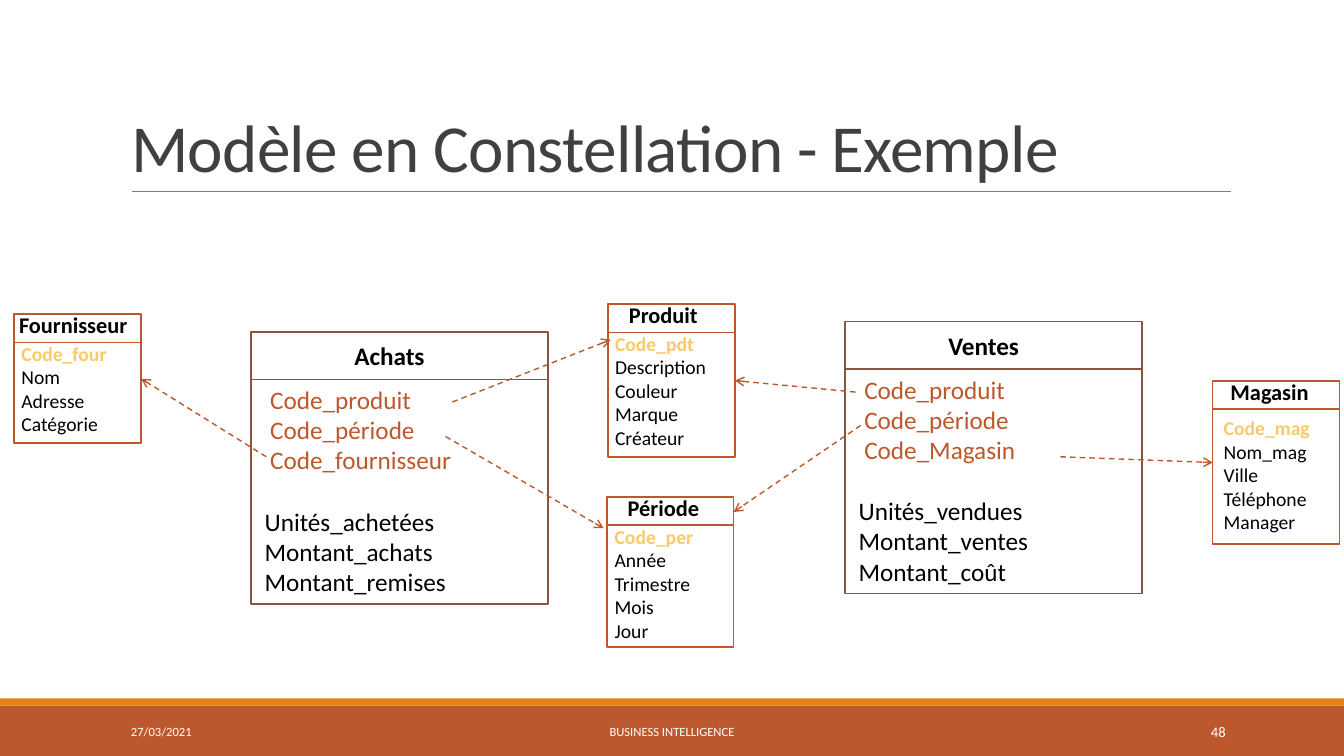
"""Build the slide on the constellation model of a data warehouse."""
from lxml import etree
from pptx import Presentation
from pptx import util as u
from pptx.dml.color import RGBColor
from pptx.enum import dml, shapes, text
from pptx.oxml.ns import qn

RUST, BROWN, GOLD, ORANGE = "BD582C", "865640", "FAC96A", "E48312"
BLACK, WHITE, GREY, DARK = "000000", "FFFFFF", "808080", "404040"
RIGHT, LEFT = 3, 1

DIMENSIONS = [
    dict(name="Fournisseur", at=(0.36, 7.92), height=3.25, name_dx=-0.13, fields_at=(-0.07, 0.56),
         fields=["Code_four", "Nom", "Adresse", "Catégorie"]),
    dict(name="Produit", at=(15.32, 7.67), height=3.84, name_dx=0.28, fields_at=(-0.07, 0.56),
         fields=["Code_pdt", "Description", "Couleur", "Marque", "Créateur"]),
    dict(name="Période", at=(15.29, 12.52), height=3.78, name_dx=0.28, fields_at=(-0.05, 0.58),
         fields=["Code_per", "Année", "Trimestre", "Mois", "Jour"]),
    dict(name="Magasin", at=(30.56, 9.6), height=4.11, name_dx=0.2, fields_at=(0.03, 0.76),
         fields=["Code_mag", "Nom_mag", "Ville", "Téléphone", "Manager"]),
]
FACTS = [
    dict(name="Achats", at=(6.32, 8.36),
         keys=["Code_produit", "Code_période", "Code_fournisseur"],
         measures=["Unités_achetées", "Montant_achats", "Montant_remises"]),
    dict(name="Ventes", at=(21.29, 8.1),
         keys=["Code_produit", "Code_période", "Code_Magasin"],
         measures=["Unités_vendues", "Montant_ventes", "Montant_coût"]),
]
LINKS = [
    ((21.56, 9.88), (18.52, 9.59), "Produit", RIGHT),
    ((21.69, 10.72), (18.49, 12.9), None, None),
    ((26.72, 11.51), (30.56, 11.65), "Magasin", LEFT),
    ((6.71, 11.51), (3.56, 9.54), "Fournisseur", RIGHT),
    ((11.4, 10.13), (15.39, 8.56), None, None),
    ((11.23, 11.0), (15.21, 13.31), None, None),
]
FOOTER = [
    ("27/03/2021", 3.05, 6.86, 9, text.PP_ALIGN.LEFT),
    ("BUSINESS INTELLIGENCE", 10.24, 13.39, 9, text.PP_ALIGN.CENTER),
    ("48", 27.51, 3.63, 10.5, text.PP_ALIGN.RIGHT),
]


def color(value):
    """Turn a hex string into a colour."""
    return RGBColor.from_string(value)


def apply(target, values):
    """Set each named attribute of the target."""
    for name, value in values.items():
        setattr(target, name, value)


def add_span(para, words, size, tint, bold=False):
    """Add formatted words to a paragraph."""
    span = para.add_run()
    span.text = words
    apply(span.font, dict(name="Calibri", size=u.Pt(size), bold=bold))
    span.font.color.rgb = color(tint)
    return span


def add_lines(page, at, size, rows, anchor=text.MSO_ANCHOR.TOP, align=text.PP_ALIGN.LEFT):
    """Add a text box with one paragraph per (words, span format, paragraph format)."""
    box = page.shapes.add_textbox(*map(u.Cm, at), *map(u.Cm, size))
    frame = box.text_frame
    apply(frame, dict(word_wrap=True, vertical_anchor=anchor))
    for index, (words, span_format, para_format) in enumerate(rows):
        para = frame.add_paragraph() if index else frame.paragraphs[0]
        if "indent" in para_format:
            para._p.get_or_add_pPr().set("marL", str(para_format["indent"]))
        apply(para, dict(alignment=align, space_before=para_format.get("before", u.Pt(0))))
        add_span(para, words, **span_format)


def add_rect(page, at, size, fill, line=None):
    """Add a plain rectangle, outlined if a line colour is given."""
    rect = page.shapes.add_shape(shapes.MSO_SHAPE.RECTANGLE, *map(u.Cm, at), *map(u.Cm, size))
    rect.shadow.inherit = False
    rect.fill.solid()
    rect.fill.fore_color.rgb = color(fill)
    if line:
        rect.line.color.rgb = color(line)
        rect.line.width = u.Pt(1.25)
    else:
        rect.line.fill.background()
    return rect


def add_line(page, start, end, tint, width=1.0):
    """Add a straight line without shadow."""
    line = page.shapes.add_connector(shapes.MSO_CONNECTOR.STRAIGHT,
                                     *map(u.Cm, start), *map(u.Cm, end))
    line.line.color.rgb = color(tint)
    line.line.width = u.Pt(width)
    etree.SubElement(line._element.spPr, qn("a:effectLst"))
    return line


def add_link(page, start, end, target, side):
    """Add a dashed arrow, joined to a target rectangle where there is one."""
    link = add_line(page, start, end, RUST)
    link.line.dash_style = dml.MSO_LINE.DASH
    etree.SubElement(link.line._get_or_add_ln(), qn("a:tailEnd"), type="arrow")
    if target is not None:
        link.end_connect(target, side)


def add_entity(page, at, size, header, tint):
    """Add an outlined box with a rule under its header."""
    left, top = at
    rect = add_rect(page, at, size, WHITE, tint)
    add_line(page, (left, top + header), (left + size[0], top + header), tint)
    return rect


def add_dimension(page, name, at, height, name_dx, fields_at, fields):
    """Add a dimension table whose first field is its key."""
    left, top = at
    rect = add_entity(page, at, (3.2, height), 0.71, RUST)
    add_lines(page, (left + name_dx, top - 0.2), (3.58, 0.94),
              [(name, dict(size=16, tint=BLACK, bold=True), {})])
    key, *others = fields
    rows = [(key, dict(size=14, tint=GOLD, bold=True), {})]
    rows += [(field, dict(size=14, tint=BLACK), {}) for field in others]
    add_lines(page, (left + fields_at[0], top + fields_at[1]), (3.2, 0.6 * len(fields) + 0.25), rows)
    return rect


def add_fact(page, name, at, keys, measures):
    """Add a fact table with its indented keys above its measures."""
    left, top = at
    add_entity(page, at, (7.49, 6.86), 1.2, BROWN)
    add_lines(page, (left + 2.36, top + 0.1), (2.69, 1.02),
              [(name, dict(size=18, tint=BLACK, bold=True), {})])
    rows = [(key, dict(size=18, tint=RUST), dict(indent=u.Pt(4))) for key in keys]
    rows += [(measure, dict(size=18, tint=BLACK), {} if index else dict(before=u.Pt(22)))
             for index, measure in enumerate(measures)]
    add_lines(page, (left + 0.1, top + 1.2), (7.98, 5.64), rows)


def add_title(page, words):
    """Place and format the title, with the rule below it."""
    title = page.shapes.title
    apply(title, dict(left=u.Cm(3.05), top=u.Cm(0.79), width=u.Cm(27.94), height=u.Cm(4.04)))
    apply(title.text_frame, dict(vertical_anchor=text.MSO_ANCHOR.BOTTOM, word_wrap=True,
                                 auto_size=text.MSO_AUTO_SIZE.NONE))
    para = title.text_frame.paragraphs[0]
    apply(para, dict(alignment=text.PP_ALIGN.LEFT, line_spacing=0.85))
    add_span(para, words, 48, DARK)._r.get_or_add_rPr().set("spc", "-50")
    add_line(page, (3.33, 4.83), (31.01, 4.83), GREY, 0.5)


def add_footer(page):
    """Add the two bands and the footer texts."""
    add_rect(page, (0, 17.78), (33.87, 1.27), RUST)
    add_rect(page, (0, 17.6), (33.87, 0.18), ORANGE)
    for words, left, width, size, align in FOOTER:
        add_lines(page, (left, 17.93), (width, 1.01), [(words, dict(size=size, tint=WHITE), {})],
                  text.MSO_ANCHOR.MIDDLE, align)


def main():
    """Build and save the deck."""
    deck = Presentation()
    apply(deck, dict(slide_width=u.Cm(33.87), slide_height=u.Cm(19.05)))
    page = deck.slides.add_slide(deck.slide_layouts[5])
    add_footer(page)
    add_title(page, "Modèle en Constellation - Exemple")
    for fact in FACTS:
        add_fact(page, **fact)
    tables = {item["name"]: add_dimension(page, **item) for item in DIMENSIONS}
    for start, end, name, side in LINKS:
        add_link(page, start, end, tables.get(name), side)
    deck.save("out.pptx")


if __name__ == "__main__":
    main()
